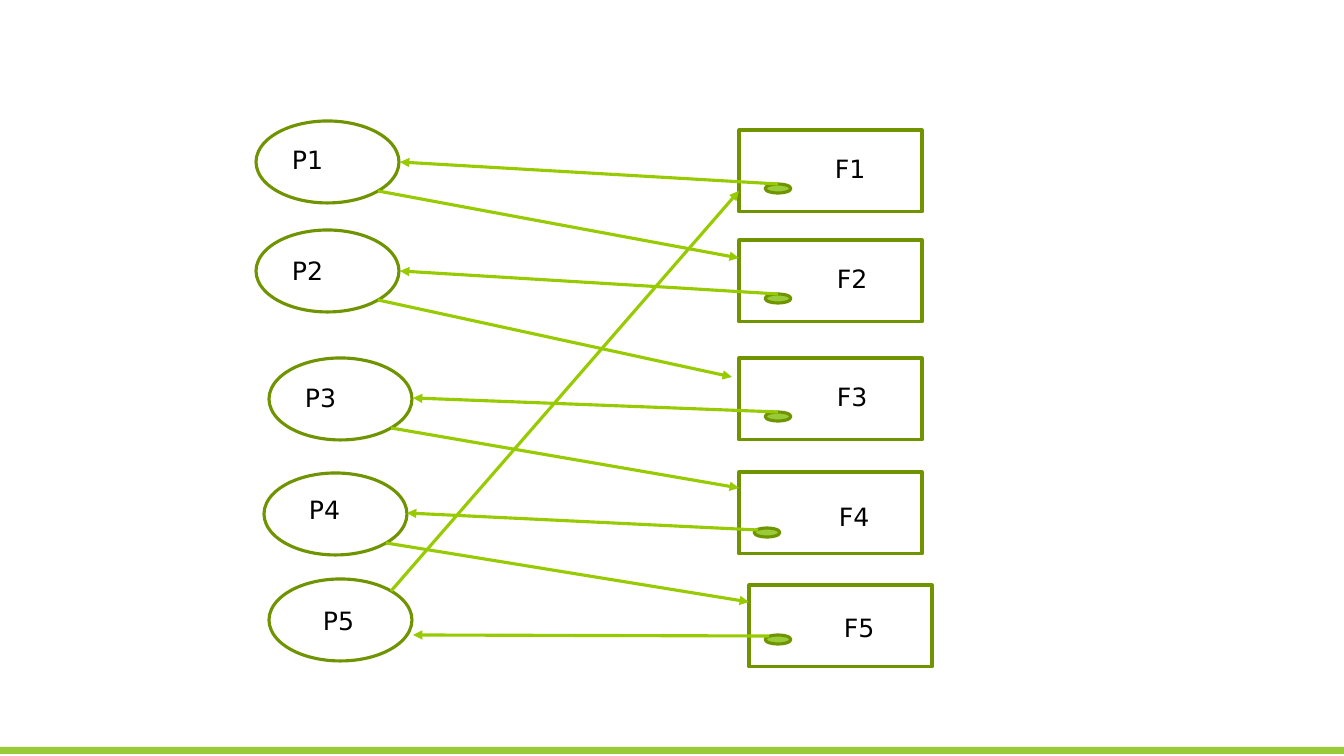
from dataclasses import dataclass
from math import cos, pi, sin

from lxml.etree import SubElement
from pptx import Presentation
from pptx.dml.color import RGBColor
from pptx.enum.shapes import MSO_CONNECTOR as Connector, MSO_SHAPE as Shape
from pptx.oxml.ns import qn
from pptx.util import Pt

# Names with the left and top of each outline, then of its label, in px
PROCESSES = [
    ("P1", (256, 121), (282, 139)),
    ("P2", (256, 230), (282, 250)),
    ("P3", (269, 358), (295, 377)),
    ("P4", (264, 473), (299, 489)),
    ("P5", (269, 579), (313, 600)),
]
FILES = [
    ("F1", (739, 130), (825, 148)),
    ("F2", (739, 240), (827, 258)),
    ("F3", (739, 358), (827, 376)),
    ("F4", (739, 472), (829, 496)),
    ("F5", (749, 585), (834, 607)),
]
DOTS = [(765, 184), (765, 294), (765, 412), (754, 528), (765, 635)]
# Start and end of the arrow from each file's dot to the process holding it
HOLDS = [
    ((778, 184), (400, 162)),
    ((778, 294), (400, 271)),
    ((778, 412), (413, 398)),
    ((758, 530), (407, 513)),
    ((769, 636), (413, 635)),
]
# Where the request of each process ends: P1 asks for F2, ..., P5 asks for F1
REQUEST_ENDS = [(739, 258), (732, 377), (739, 488), (749, 602), (739, 191)]

SLIDE_SIZE = (1344, 756)
PROCESS_SIZE = (143, 82)
FILE_SIZE = (183, 82)
DOT_SIZE = (26, 9)
LABEL_SIZE = (70, 40)
FOOTER = (0, 747, 1344, 7)
SCALE = 914400 / 100.8


@dataclass(frozen=True)
class Theme:
    fill: RGBColor = RGBColor.from_string("99CB38")
    outline: RGBColor = RGBColor.from_string("6F9400")
    arrow: RGBColor = RGBColor.from_string("97CB00")
    text: RGBColor = RGBColor.from_string("000000")
    font: str = "DejaVu Sans"
    size: Pt = Pt(18)
    line: Pt = Pt(2.25)


THEME = Theme()


def emu(*lengths):
    return [round(length * SCALE) for length in lengths]


def add_outline(slide, kind, box, filled=False, lined=True):
    shape = slide.shapes.add_shape(kind, *emu(*box))
    shape.shadow.inherit = False
    if filled:
        shape.fill.solid()
        shape.fill.fore_color.rgb = THEME.fill
    else:
        shape.fill.background()
    if lined:
        shape.line.color.rgb = THEME.outline
        shape.line.width = THEME.line
    else:
        shape.line.fill.background()


def add_label(slide, text, position):
    frame = slide.shapes.add_textbox(*emu(*position, *LABEL_SIZE)).text_frame
    frame.word_wrap = True
    frame.text = text
    font = frame.paragraphs[0].runs[0].font
    font.name, font.size = THEME.font, THEME.size
    font.color.rgb = THEME.text


def add_arrow(slide, start, end):
    connector = slide.shapes.add_connector(Connector.STRAIGHT, *emu(*start, *end))
    connector.line.color.rgb = THEME.arrow
    connector.line.width = THEME.line
    SubElement(connector.line._get_or_add_ln(), qn("a:tailEnd"), type="triangle")
    SubElement(connector._element.spPr, qn("a:effectLst"))


def ellipse_point(position, size, angle):
    """Point on an ellipse's edge, with the angle measured clockwise from the right."""
    (left, top), (width, height) = position, size
    return (left + width * (1 + cos(angle)) / 2, top + height * (1 + sin(angle)) / 2)


def main():
    presentation = Presentation()
    presentation.slide_width, presentation.slide_height = emu(*SLIDE_SIZE)
    slide = presentation.slides.add_slide(presentation.slide_layouts[6])

    add_outline(slide, Shape.RECTANGLE, FOOTER, filled=True, lined=False)
    for nodes, kind, size in (
        (FILES, Shape.RECTANGLE, FILE_SIZE),
        (PROCESSES, Shape.OVAL, PROCESS_SIZE),
    ):
        for name, position, label_position in nodes:
            add_outline(slide, kind, (*position, *size))
            add_label(slide, name, label_position)
    for position in DOTS:
        add_outline(slide, Shape.OVAL, (*position, *DOT_SIZE), filled=True)

    for start, end in HOLDS:
        add_arrow(slide, start, end)
    for (_, position, _), end in zip(PROCESSES, REQUEST_ENDS):
        angle = pi / 4 if end[1] > position[1] else -pi / 4
        add_arrow(slide, ellipse_point(position, PROCESS_SIZE, angle), end)

    presentation.save("out.pptx")


if __name__ == "__main__":
    main()
